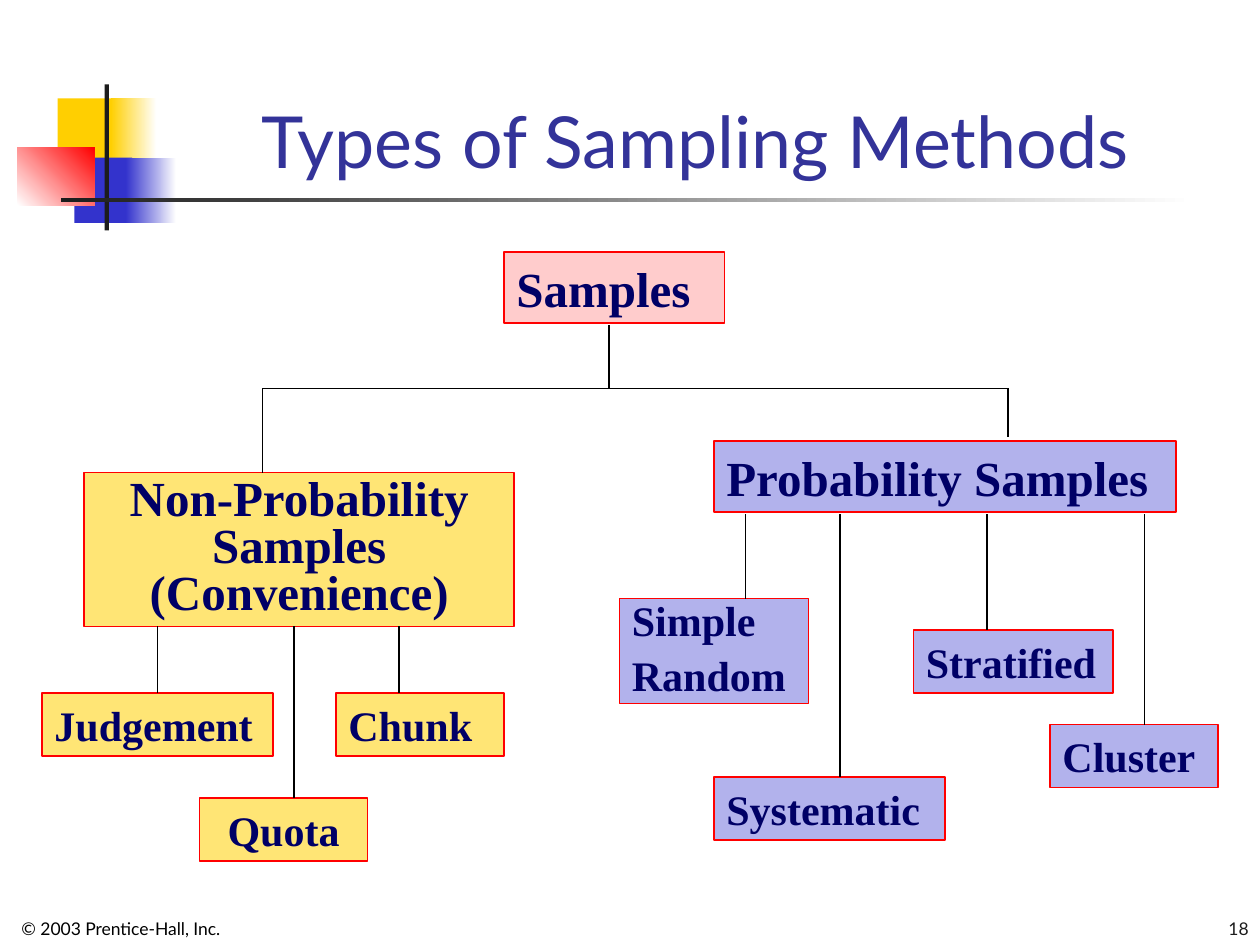
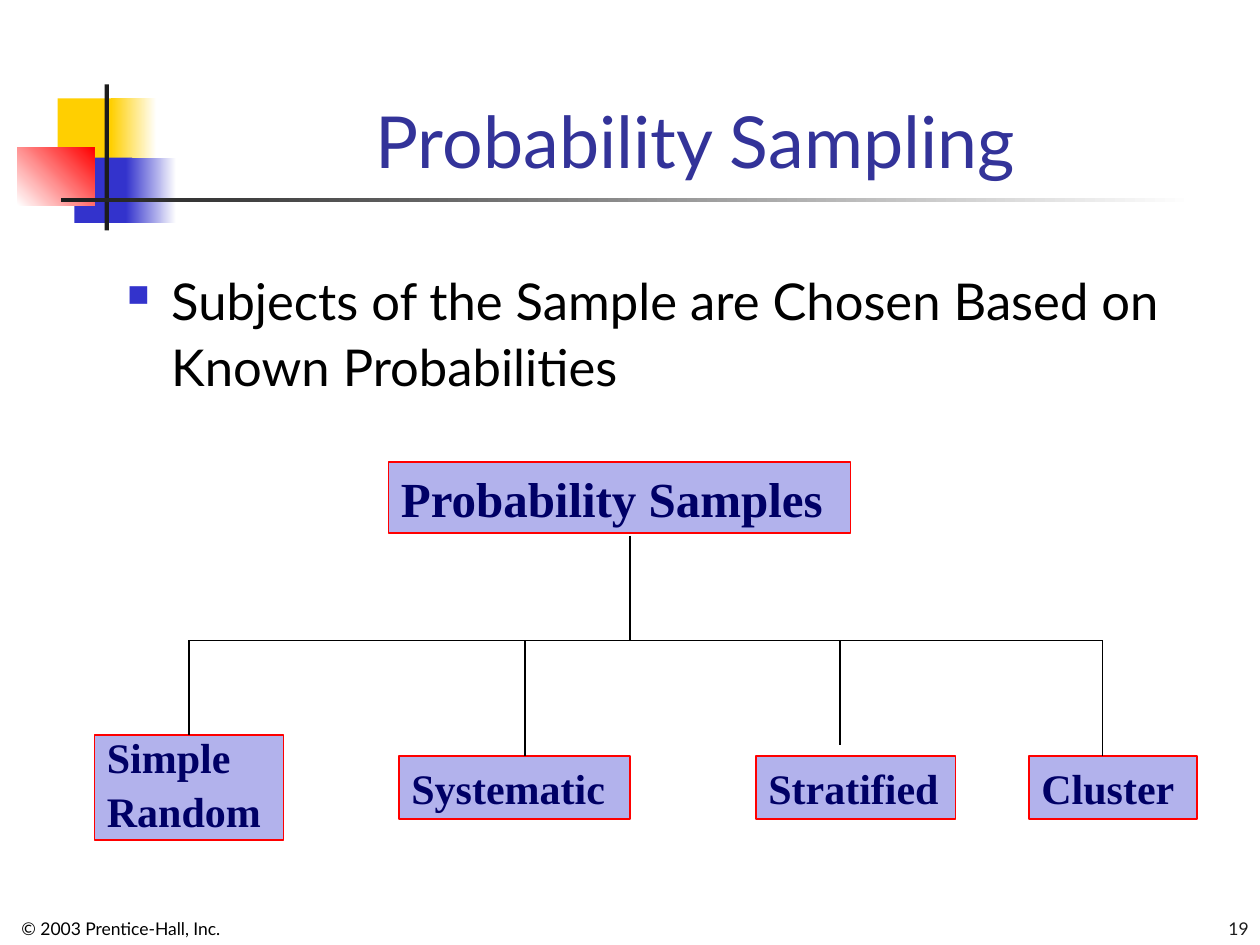
from lxml import etree
from pptx import Presentation
from pptx.dml.color import RGBColor
from pptx.enum.shapes import MSO_CONNECTOR, MSO_SHAPE
from pptx.enum.text import MSO_ANCHOR, PP_ALIGN
from pptx.oxml.ns import qn
from pptx.util import Pt

RECTANGLE = MSO_SHAPE.RECTANGLE
STRAIGHT = MSO_CONNECTOR.STRAIGHT
TOP, MIDDLE, BOTTOM = MSO_ANCHOR.TOP, MSO_ANCHOR.MIDDLE, MSO_ANCHOR.BOTTOM
LEFT, CENTER, RIGHT = PP_ALIGN.LEFT, PP_ALIGN.CENTER, PP_ALIGN.RIGHT
TOP_SIDE = 0

BLACK, INK, WHITE = "000000", "1C1C1C", "FFFFFF"
YELLOW, BLUE, RED = "FFCF01", "3333CC", "FF0000"
TITLE_BLUE, NAVY = "333399", "000066"
PINK, SAND, LILAC = "FFCCCC", "FFE575", "B2B2EC"
SANS, SERIF = "Lato", "Times New Roman"

# Corner ornament: left, top, width, height, colours, gradient angle
ORNAMENT = [
    (33, 56.2, 34.5, 37.4, [YELLOW], 0),
    (63.4, 56.2, 26, 37.4, [YELLOW, WHITE], 0),
    (42.5, 90, 33, 37.4, [BLUE], 0),
    (72, 90, 28.8, 37.4, [BLUE, WHITE], 0),
    (10, 84.2, 44, 33.2, [WHITE, RED], 45),
    (59.8, 48.2, 2.5, 83.5, [INK], 0),
    (34.6, 113, 648, 2.4, [INK, WHITE], 0),
]

TITLE_BOX = (90.7, 18, 613.4, 90)
BODY_BOX = (66.2, 146.9, 635.8, 357)
COPYRIGHT_BOX = (5.8, 504.7, 288, 35.3)
NUMBER_BOX = (570.2, 504.7, 149.8, 35.3)
COPYRIGHT = "© 2003 Prentice-Hall, Inc."

TITLE_TEXT = {"name": SANS, "size": 41, "color": TITLE_BLUE}
BODY_TEXT = {"name": SANS, "size": 29, "color": BLACK}
COPYRIGHT_TEXT = {"name": SANS, "size": 10, "color": BLACK}
NUMBER_TEXT = {"name": SANS, "size": 10, "color": INK}
BRANCH_TEXT = {"name": SERIF, "size": 28, "color": NAVY, "bold": True}
LEAF_TEXT = {"name": SERIF, "size": 24, "color": NAVY, "bold": True}

PLAIN = {}
TIGHT_CENTER = {"alignment": CENTER, "line_spacing": 0.8}
SIMPLE_RANDOM = [
    ("Simple", {"line_spacing": 0.8}),
    ("Random", {"line_spacing": 0.5, "space_before": Pt(15)}),
]

# Sample kinds: paragraphs, fill, width, height, text format, anchor
KINDS = {
    "samples": ([("Samples", PLAIN)], PINK, 126, 40.5, BRANCH_TEXT, TOP),
    "non-probability": ([("Non-Probability Samples\v(Convenience)", TIGHT_CENTER)],
                        SAND, 246, 88, BRANCH_TEXT, TOP),
    "judgement": ([("Judgement", PLAIN)], SAND, 132, 36, LEAF_TEXT, TOP),
    "quota": ([("Quota", {"alignment": CENTER})], SAND, 96, 36, LEAF_TEXT, MIDDLE),
    "chunk": ([("Chunk", PLAIN)], SAND, 96, 36, LEAF_TEXT, TOP),
    "probability": ([("Probability Samples", PLAIN)], LILAC, 264, 40.5, BRANCH_TEXT, TOP),
    "simple random": (SIMPLE_RANDOM, LILAC, 108, 60, LEAF_TEXT, TOP),
    "systematic": ([("Systematic", PLAIN)], LILAC, 132, 36, LEAF_TEXT, TOP),
    "stratified": ([("Stratified", PLAIN)], LILAC, 114, 36, LEAF_TEXT, TOP),
    "cluster": ([("Cluster", PLAIN)], LILAC, 96, 36, LEAF_TEXT, TOP),
}

# Families: "gap" is the space under the parent; with a "trunk" (x, bar y) the
# drops hang from a bar. Each drop is x, child, space left above the child.
SLIDES = [
    {
        "number": "18",
        "title": "Types of Sampling Methods",
        "bullets": [],
        "places": {
            "samples": (288, 144),
            "non-probability": (48, 270), "probability": (408, 252),
            "judgement": (24, 396), "quota": (114, 456), "chunk": (192, 396),
            "simple random": (354, 342), "systematic": (408, 444),
            "stratified": (522, 360), "cluster": (600, 414),
        },
        "families": [
            {"parent": "samples", "gap": 1.5, "trunk": (348, 222),
             "drops": [(150, "non-probability", 0), (576, "probability", 2)]},
            {"parent": "non-probability", "gap": 0, "trunk": None,
             "drops": [(90, "judgement", 0), (168, "quota", 0), (228, "chunk", 0)]},
            {"parent": "probability", "gap": 1.5, "trunk": None,
             "drops": [(426, "simple random", 0), (480, "systematic", 0),
                       (564, "stratified", 0), (654, "cluster", 0)]},
        ],
    },
    {
        "number": "19",
        "title": "Probability Sampling",
        "bullets": ["Subjects of the Sample are Chosen Based on Known Probabilities"],
        "places": {
            "probability": (222, 264), "simple random": (54, 420),
            "systematic": (228, 432), "stratified": (432, 432), "cluster": (588, 432),
        },
        "families": [
            {"parent": "probability", "gap": 1.5, "trunk": (360, 366),
             "drops": [(108, "simple random", 0), (300, "systematic", 0),
                       (480, "stratified", 6), (630, "cluster", 0)]},
        ],
    },
]


def rgb(color):
    return RGBColor.from_string(color)


def points(*lengths):
    return [Pt(length) for length in lengths]


def set_font(font, text_format):
    for key, value in text_format.items():
        if key == "color":
            font.color.rgb = rgb(value)
        else:
            setattr(font, key, Pt(value) if key == "size" else value)


def write(frame, paragraphs, text_format, anchor):
    """Fill a text frame with (text, paragraph format) pairs."""
    frame.word_wrap = True
    frame.vertical_anchor = anchor
    for index, (text, layout) in enumerate(paragraphs):
        paragraph = frame.paragraphs[0] if index == 0 else frame.add_paragraph()
        paragraph.text = text
        for key, value in {"alignment": LEFT, **layout}.items():
            setattr(paragraph, key, value)
        for run in paragraph.runs:
            set_font(run.font, text_format)


def add_text(slide, box, paragraphs, text_format, anchor):
    frame = slide.shapes.add_textbox(*points(*box)).text_frame
    frame.margin_left = frame.margin_right = Pt(6.5)
    write(frame, paragraphs, text_format, anchor)
    return frame


def add_bullet(paragraph):
    properties = paragraph._p.get_or_add_pPr()
    properties.set("marL", str(Pt(25.2)))
    properties.set("indent", str(-Pt(25.2)))
    color = etree.SubElement(properties, qn("a:buClr"))
    etree.SubElement(color, qn("a:srgbClr"), val=BLUE)
    etree.SubElement(properties, qn("a:buSzPct"), val="60000")
    etree.SubElement(properties, qn("a:buChar"), char="■")


def add_rectangle(slide, box, colors, angle=0):
    rectangle = slide.shapes.add_shape(RECTANGLE, *points(*box))
    rectangle.shadow.inherit = False
    rectangle.line.fill.background()
    if len(colors) == 1:
        rectangle.fill.solid()
        rectangle.fill.fore_color.rgb = rgb(colors[0])
    else:
        rectangle.fill.gradient()
        rectangle.fill.gradient_angle = angle
        for stop, color in zip(rectangle.fill.gradient_stops, colors):
            stop.color.rgb = rgb(color)
    return rectangle


def add_line(slide, *ends):
    line = slide.shapes.add_connector(STRAIGHT, *points(*ends))
    line.line.color.rgb = rgb(BLACK)
    line.line.width = Pt(1)
    etree.SubElement(line._element.spPr, qn("a:effectLst"))
    return line


def add_kind(slide, kind, left, top):
    paragraphs, fill, width, height, text_format, anchor = KINDS[kind]
    box = add_rectangle(slide, (left, top, width, height), [fill])
    box.line.color.rgb = rgb(RED)
    box.line.width = Pt(1)
    write(box.text_frame, paragraphs, text_format, anchor)
    return box


def add_family(slide, boxes, family):
    """Draw the lines from a parent box to its children."""
    parent = boxes[family["parent"]]
    start = parent.top.pt + parent.height.pt + family["gap"]
    if family["trunk"]:
        trunk_x, bar_y = family["trunk"]
        add_line(slide, trunk_x, start, trunk_x, bar_y)
        add_line(slide, family["drops"][0][0], bar_y, family["drops"][-1][0], bar_y)
        start = bar_y
    for x, child, space in family["drops"]:
        box = boxes[child]
        drop = add_line(slide, x, start, x, box.top.pt - space)
        if not space and Pt(x) == box.left + box.width // 2:
            drop.end_connect(box, TOP_SIDE)


def add_frame(slide, title, number):
    """Add the ornament, title and footer that every slide carries."""
    for *box, colors, angle in ORNAMENT:
        add_rectangle(slide, box, colors, angle)
    add_text(slide, COPYRIGHT_BOX, [(COPYRIGHT, PLAIN)], COPYRIGHT_TEXT, BOTTOM)
    add_text(slide, NUMBER_BOX, [(number, {"alignment": RIGHT})], NUMBER_TEXT, BOTTOM)
    add_text(slide, TITLE_BOX, [(title, {"alignment": CENTER})], TITLE_TEXT, BOTTOM)


def main():
    deck = Presentation()
    deck.slide_width, deck.slide_height = points(720, 540)
    for content in SLIDES:
        slide = deck.slides.add_slide(deck.slide_layouts[6])
        add_frame(slide, content["title"], content["number"])
        if content["bullets"]:
            bullets = [(text, {"line_spacing": 1.1}) for text in content["bullets"]]
            body = add_text(slide, BODY_BOX, bullets, BODY_TEXT, TOP)
            for paragraph in body.paragraphs:
                add_bullet(paragraph)
        boxes = {kind: add_kind(slide, kind, *place)
                 for kind, place in content["places"].items()}
        for family in content["families"]:
            add_family(slide, boxes, family)
    deck.save("out.pptx")


if __name__ == "__main__":
    main()
